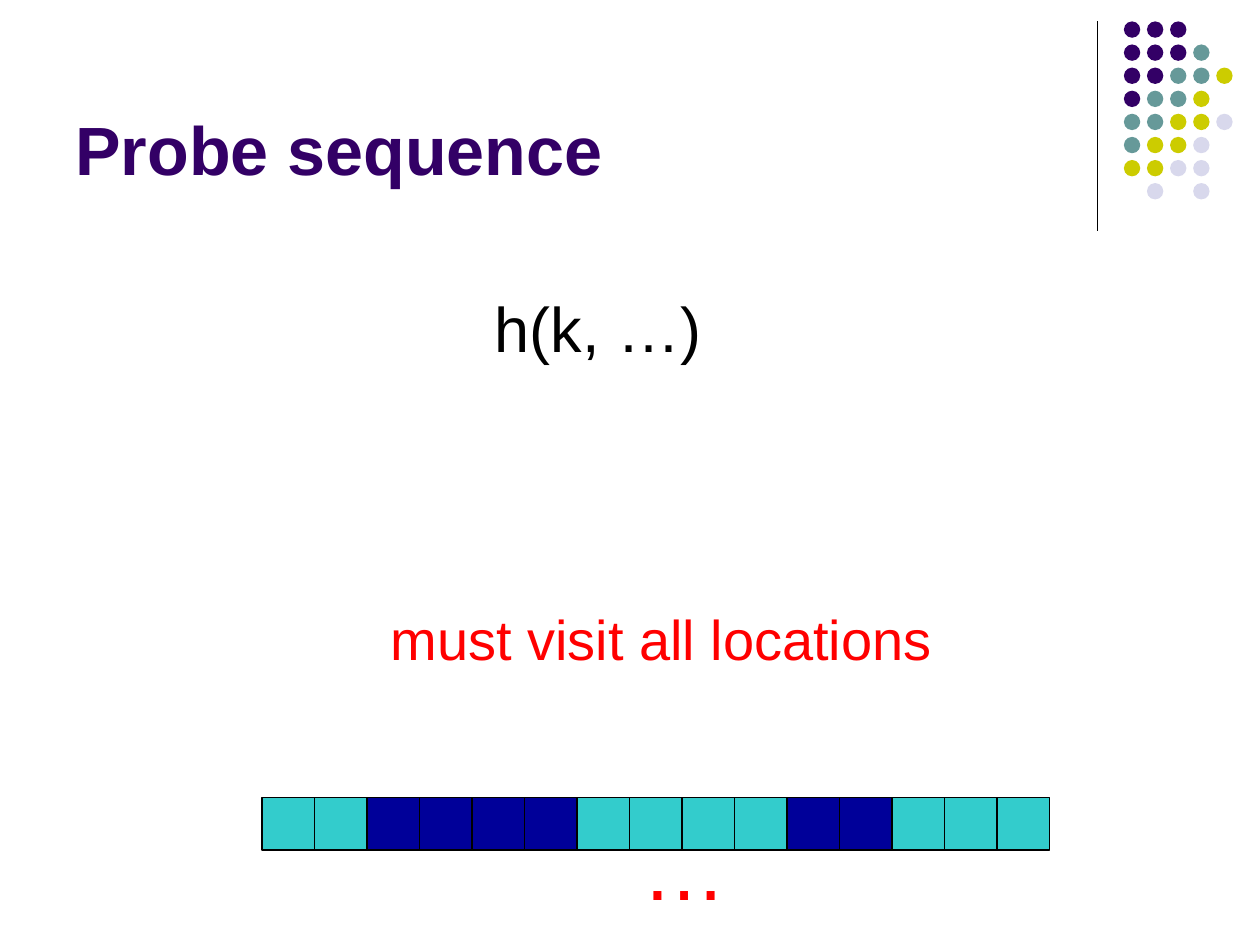
from pptx import Presentation
from pptx.dml.color import RGBColor
from pptx.enum.shapes import MSO_CONNECTOR, MSO_SHAPE
from pptx.enum.text import MSO_ANCHOR, MSO_AUTO_SIZE
from pptx.oxml.ns import qn
from pptx.util import Inches, Pt
from lxml.etree import SubElement

BLACK = RGBColor(0x00, 0x00, 0x00)
RED = RGBColor(0xFF, 0x00, 0x00)
PURPLE = RGBColor(0x33, 0x00, 0x66)
TEAL = RGBColor(0x66, 0x99, 0x99)
OLIVE = RGBColor(0xCC, 0xCC, 0x00)
PALE = RGBColor(0xD8, 0xD8, 0xEC)
CYAN = RGBColor(0x33, 0xCC, 0xCC)
NAVY = RGBColor(0x00, 0x00, 0x99)

DOTS = ["PPP", "PPPT", "PPTTO", "PTTO", "TTOOL", "TOOL", "OOLL", " L L"]
TONES = {"P": PURPLE, "T": TEAL, "O": OLIVE, "L": PALE}
PITCH = 0.55 / 3
LEFT, TOP, SLOTS = 2.08, 6.33, 15
CELL = 6.25 / SLOTS
TAKEN = [2, 3, 4, 5, 10, 11]


class Deck:
    """Draws styled elements on the current slide."""

    def __init__(self):
        self.font = "Arial"
        self.width = Pt(0.75)
        self.prs = Presentation()
        self.prs.slide_width = Inches(10)
        self.prs.slide_height = Inches(7.5)
        self.slide = self.prs.slides.add_slide(self.prs.slide_layouts[6])

    def group(self):
        return self.slide.shapes.add_group_shape().shapes

    def shape(self, kind, x, y, w, h, fill, edge=None, home=None):
        home = home or self.slide.shapes
        item = home.add_shape(kind, Inches(x), Inches(y), Inches(w), Inches(h))
        item.shadow.inherit = False
        item.fill.solid()
        item.fill.fore_color.rgb = fill
        if edge is None:
            item.line.fill.background()
        else:
            item.line.color.rgb = edge
            item.line.width = self.width

    def rule(self, x, top, end, home=None):
        home = home or self.slide.shapes
        line = home.add_connector(
            MSO_CONNECTOR.STRAIGHT, Inches(x), Inches(top), Inches(x), Inches(end))
        line.line.color.rgb = BLACK
        line.line.width = self.width
        SubElement(line._element.spPr, qn("a:effectLst"))

    def text(self, words, x, y, w, h, size, color):
        box = self.slide.shapes.add_textbox(Inches(x), Inches(y), Inches(w), Inches(h))
        frame = box.text_frame
        frame.word_wrap = True
        frame.text = words
        para = frame.paragraphs[0]
        font = para.runs[0].font
        font.name = self.font
        font.size = Pt(size)
        font.color.rgb = color
        return frame

    def title(self, words, x, y, w, h):
        frame = self.text(words, x, y, w, h, 39, PURPLE)
        frame.vertical_anchor = MSO_ANCHOR.BOTTOM
        frame.paragraphs[0].runs[0].font.bold = True

    def note(self, words, x, y, w, h, size, color):
        frame = self.text(words, x, y, w, h, size, color)
        frame.auto_size = MSO_AUTO_SIZE.SHAPE_TO_FIT_TEXT
        frame.paragraphs[0].space_before = Pt(size * 0.625)

    def dots(self, x, y):
        home = self.group()
        for row, marks in enumerate(DOTS):
            for col, mark in enumerate(marks):
                if mark in TONES:
                    self.shape(MSO_SHAPE.OVAL, x + col * PITCH, y + row * PITCH,
                               0.13, 0.13, TONES[mark], home=home)

    def slots(self):
        home = self.group()
        self.shape(MSO_SHAPE.RECTANGLE, LEFT, TOP, SLOTS * CELL, CELL, CYAN, BLACK, home)
        for num in range(1, SLOTS):
            self.rule(LEFT + num * CELL, TOP, TOP + CELL, home)
        for num in TAKEN:
            self.shape(MSO_SHAPE.RECTANGLE, LEFT + num * CELL, TOP, CELL, CELL, NAVY, BLACK)


def main():
    deck = Deck()
    deck.rule(8.71, 0.17, 1.83)
    deck.dots(8.92, 0.17)
    deck.title("Probe sequence", 0.5, 0.13, 8.25, 1.42)
    deck.slots()
    deck.note("h(k, …)", 3.83, 2.25, 3.08, 0.7, 36, BLACK)
    deck.note("…", 5, 6.43, 2, 0.9, 48, RED)
    deck.note("must visit all locations", 3, 4.75, 5.25, 0.64, 32, RED)
    deck.prs.save("out.pptx")


if __name__ == "__main__":
    main()
